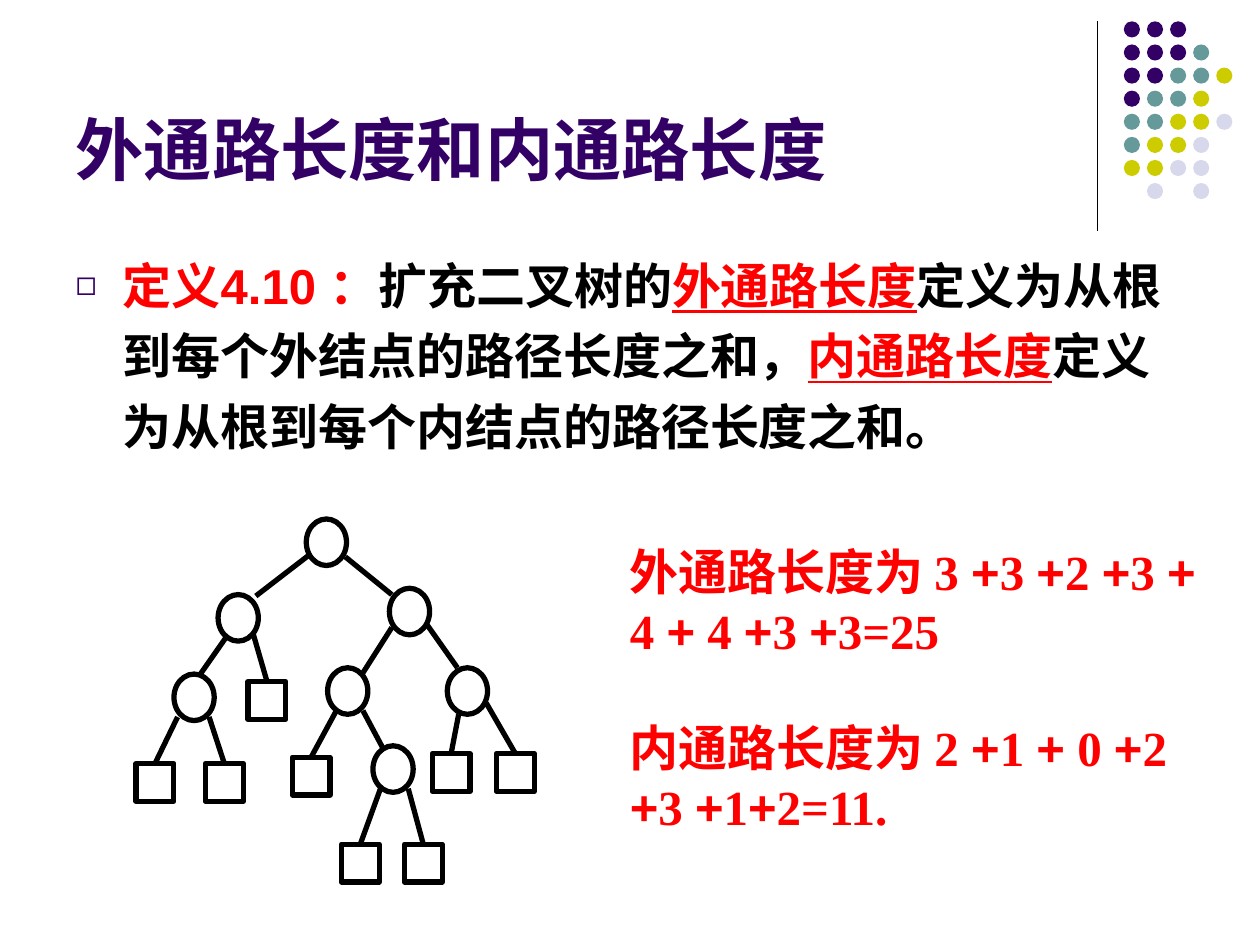
from lxml import etree
from pptx import Presentation
from pptx.dml.color import RGBColor
from pptx.enum.shapes import MSO_CONNECTOR, MSO_SHAPE
from pptx.enum.text import MSO_ANCHOR, MSO_AUTO_SIZE, PP_ALIGN
from pptx.oxml.ns import qn
from pptx.util import Pt

OVAL, SQUARE = MSO_SHAPE.OVAL, MSO_SHAPE.RECTANGLE
STRAIGHT = MSO_CONNECTOR.STRAIGHT
LEFT = PP_ALIGN.LEFT
TOP, BOTTOM = MSO_ANCHOR.TOP, MSO_ANCHOR.BOTTOM
NO_AUTOFIT, GROW = MSO_AUTO_SIZE.NONE, MSO_AUTO_SIZE.SHAPE_TO_FIT_TEXT

PURPLE = RGBColor(0x33, 0x00, 0x66)
TEAL = RGBColor(0x66, 0x99, 0x99)
OLIVE = RGBColor(0xCC, 0xCC, 0x00)
LAVENDER = RGBColor(0xD8, 0xD8, 0xEC)
RED = RGBColor(0xFF, 0x00, 0x00)
BLACK = RGBColor(0x00, 0x00, 0x00)
WHITE = RGBColor(0xFF, 0xFF, 0xFF)

SANS, SERIF = "Arial", "Times New Roman"

DOT_COLORS = {"P": PURPLE, "T": TEAL, "O": OLIVE, "L": LAVENDER}
DOT_ROWS = ["PPP", "PPPT", "PPTTO", "PTTO", "TTOOL", "TOOL", "OOLL", " L L"]
DOT_SIZE, DOT_STEP = 9.2, 13.2
DOT_LEFT, DOT_TOP = 642.2, 12.2

NODE_WIDTH, NODE_HEIGHT, LEAF_SIZE = 23, 26.6, 21.6
INTERNAL_NODES = [
    (175, 296.6), (124.6, 339.8), (99.4, 385.2), (222.5, 336.2),
    (187.2, 381.6), (255.6, 381.6), (213.1, 426.2),
]
INTERNAL_EDGES = [
    (177.1, 316.8, 146.2, 340.6), (129.6, 363.6, 114.5, 385.2),
    (197.3, 318.2, 223.9, 339.8), (223.9, 358.6, 207.4, 384.5),
    (244.1, 357.1, 261.4, 381.6), (207.4, 406.1, 218.9, 427.7),
]
LEAVES_WITH_EDGE_STARTS = [
    (77.8, 436.3, 101.5, 409.7), (117.4, 436.3, 119.5, 409.7),
    (141.8, 389.5, 144.7, 362.2), (167, 432.7, 192.2, 406.1),
    (195.1, 482.4, 217.4, 450.7), (231.1, 482.4, 233.3, 450.7),
    (247, 430.6, 262.1, 408.2), (283.7, 430.6, 277.9, 401.8),
]

DEFINITION = [
    ("定义4.10 ：", RED, False),
    ("扩充二叉树的", BLACK, False),
    ("外通路长度", RED, True),
    ("定义为从根到每个外结点的路径长度之和，", BLACK, False),
    ("内通路长度", RED, True),
    ("定义为从根到每个内结点的路径长度之和。", BLACK, False),
]
PATH_LENGTHS = [
    "外通路长度为 3 +3 +2 +3 + 4 + 4 +3 +3=25",
    "内通路长度为 2 +1 + 0 +2 +3 +1+2=11.",
]


def add_figure(shapes, preset, left, top, width, height, fill, outline=None):
    """Add a filled preset shape, outlined only when a colour is given."""
    shape = shapes.add_shape(preset, Pt(left), Pt(top), Pt(width), Pt(height))
    shape.shadow.inherit = False
    shape.fill.solid()
    shape.fill.fore_color.rgb = fill
    if outline is None:
        shape.line.fill.background()
    else:
        shape.line.color.rgb = outline
        shape.line.width = Pt(3)


def add_line(shapes, x1, y1, x2, y2, weight=3):
    """Add a straight black line without shadow."""
    line = shapes.add_connector(STRAIGHT, Pt(x1), Pt(y1), Pt(x2), Pt(y2))
    line.line.color.rgb = BLACK
    line.line.width = Pt(weight)
    etree.SubElement(line._element.spPr, qn("a:effectLst"))


def add_run(paragraph, text, size, color, font=SANS, underline=False):
    """Append a bold run to a paragraph."""
    run = paragraph.add_run()
    run.text = text
    run.font.name = font
    run.font.size = Pt(size)
    run.font.bold = True
    run.font.underline = underline
    run.font.color.rgb = color


def place(shape, left, top, width, height, anchor):
    """Move a placeholder and return its left-aligned first paragraph."""
    shape.left, shape.top = Pt(left), Pt(top)
    shape.width, shape.height = Pt(width), Pt(height)
    frame = shape.text_frame
    frame.word_wrap = True
    frame.auto_size = NO_AUTOFIT
    frame.vertical_anchor = anchor
    paragraph = frame.paragraphs[0]
    paragraph.alignment = LEFT
    paragraph.space_before = Pt(0)
    return paragraph


def add_bullet(paragraph, character, color, percent, indent):
    """Give a paragraph a coloured hanging bullet."""
    properties = paragraph._p.get_or_add_pPr()
    properties.set("marL", str(Pt(indent)))
    properties.set("indent", str(-Pt(indent)))
    bullet_color = etree.SubElement(properties, qn("a:buClr"))
    etree.SubElement(bullet_color, qn("a:srgbClr"), val=str(color))
    etree.SubElement(properties, qn("a:buSzPct"), val=str(percent * 1000))
    etree.SubElement(properties, qn("a:buFont"), typeface=SANS)
    etree.SubElement(properties, qn("a:buChar"), char=character)


def add_dots(slide):
    """Draw the corner ornament of coloured dots."""
    shapes = slide.shapes.add_group_shape().shapes
    for row, codes in enumerate(DOT_ROWS):
        for column, code in enumerate(codes):
            if code in DOT_COLORS:
                add_figure(shapes, OVAL, DOT_LEFT + column * DOT_STEP,
                           DOT_TOP + row * DOT_STEP, DOT_SIZE, DOT_SIZE,
                           DOT_COLORS[code])


def add_tree(slide):
    """Draw the extended binary tree with round nodes and square leaves."""
    shapes = slide.shapes.add_group_shape().shapes
    for left, top in INTERNAL_NODES:
        add_figure(shapes, OVAL, left, top, NODE_WIDTH, NODE_HEIGHT, WHITE, BLACK)
    for edge in INTERNAL_EDGES:
        add_line(shapes, *edge)
    for left, top, start_x, start_y in LEAVES_WITH_EDGE_STARTS:
        add_figure(shapes, SQUARE, left, top, LEAF_SIZE, LEAF_SIZE, WHITE, BLACK)
        add_line(shapes, start_x, start_y, left + LEAF_SIZE / 2, top)


def add_path_lengths(slide):
    """Write both sums, with the plus signs in the sans font."""
    box = slide.shapes.add_textbox(Pt(352.8), Pt(306), Pt(337.7), Pt(175.7))
    frame = box.text_frame
    frame.word_wrap = True
    frame.auto_size = GROW
    for index, text in enumerate(PATH_LENGTHS):
        paragraph = frame.add_paragraph() if index else frame.paragraphs[0]
        if index:
            paragraph.space_before = Pt(33.5)
        for position, term in enumerate(text.split("+")):
            if position:
                add_run(paragraph, "+", 28, RED)
            add_run(paragraph, term, 28, RED, SERIF)


def main():
    """Build the slide and save it."""
    presentation = Presentation()
    presentation.slide_width, presentation.slide_height = Pt(720), Pt(540)
    slide = presentation.slides.add_slide(presentation.slide_layouts[1])
    title, body = slide.placeholders

    add_line(slide.shapes, 627.1, 12.2, 627.1, 131.8, 0.75)
    add_dots(slide)

    heading = place(title, 36, 9.4, 594, 102.2, BOTTOM)
    add_run(heading, "外通路长度和内通路长度", 39, PURPLE)

    definition = place(body, 36, 135.4, 648, 347, TOP)
    add_bullet(definition, "◻", PURPLE, 70, 27)
    definition.line_spacing = 1.2
    for text, color, underline in DEFINITION:
        add_run(definition, text, 28, color, underline=underline)

    add_tree(slide)
    add_path_lengths(slide)
    presentation.save("out.pptx")


if __name__ == "__main__":
    main()
